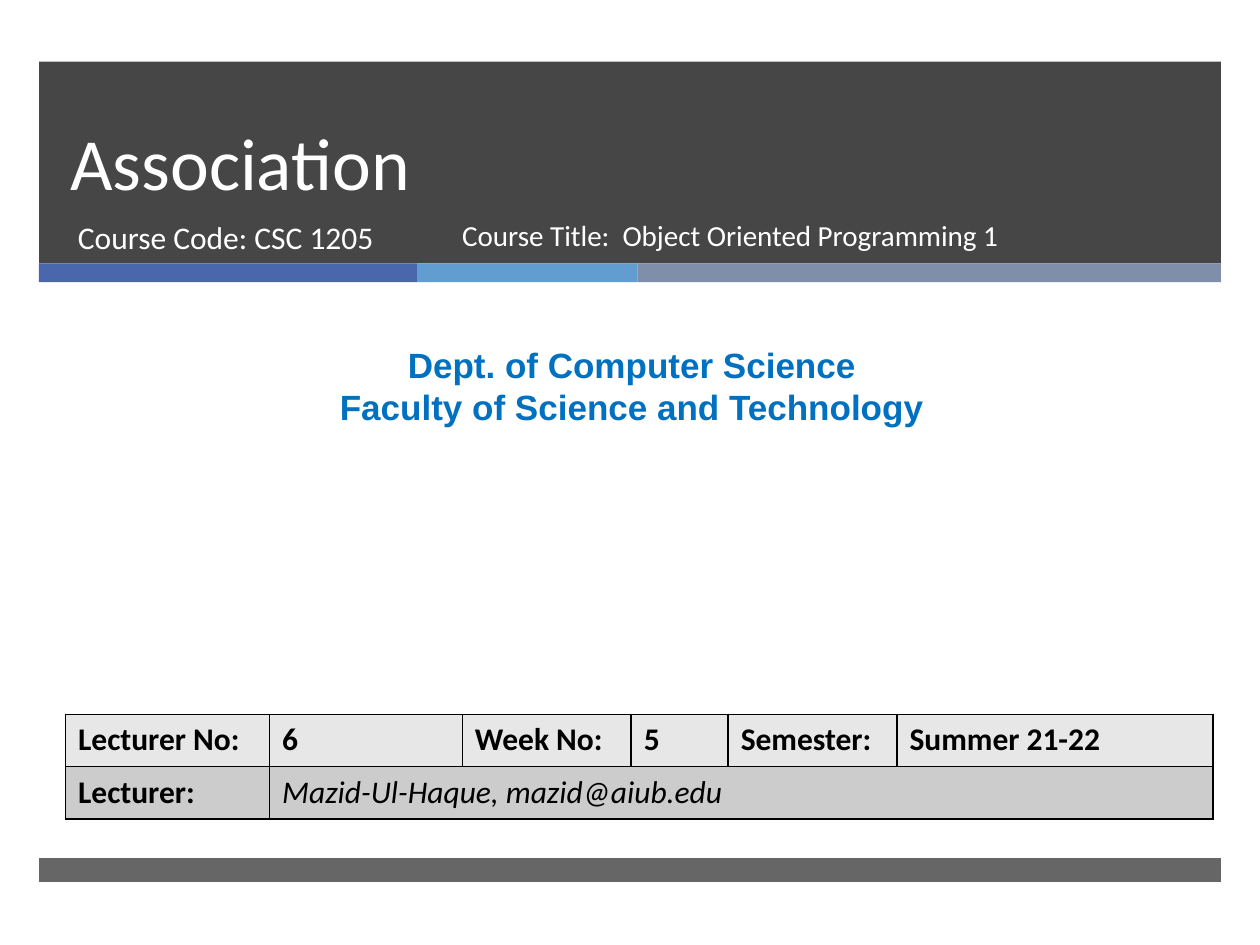
import pptx
import pptx.util
import pptx.dml.color
import pptx.enum.shapes
import pptx.enum.text
import pptx.oxml
import pptx.oxml.ns

Inches, Pt = pptx.util.Inches, pptx.util.Pt
ALIGN, ANCHOR = pptx.enum.text.PP_ALIGN, pptx.enum.text.MSO_ANCHOR
NS = pptx.oxml.ns.nsdecls("a")
LEFT, WIDTH = 0.31, 9.38
WHITE = {"name": "Calibri", "color": "FFFFFF"}
BOLD = {"name": "Calibri", "color": "000000", "size": Pt(18), "bold": True}
ITALIC = {**BOLD, "bold": False, "italic": True}


def rgb(value):
    """Turn a hex string into a colour."""
    return pptx.dml.color.RGBColor.from_string(value)


def format_font(font, fmt):
    """Apply a dict of format values to a font."""
    for key, value in fmt.items():
        if key == "color":
            font.color.rgb = rgb(value)
        else:
            setattr(font, key, value)


def add_bar(s, box, color, alpha=100):
    """Add a plain filled rectangle, optionally translucent."""
    sp = s.shapes.add_shape(pptx.enum.shapes.MSO_SHAPE.RECTANGLE, *map(Inches, box))
    sp.shadow.inherit = False
    sp.line.fill.background()
    sp.fill.solid()
    sp.fill.fore_color.rgb = rgb(color)
    if alpha < 100:
        clr = sp.fill._xPr.find(".//" + pptx.oxml.ns.qn("a:srgbClr"))
        clr.append(pptx.oxml.parse_xml(f'<a:alpha {NS} val="{alpha * 1000}"/>'))


def add_text(s, box, lines, fmt, spacing=None, align=ALIGN.LEFT, anchor=ANCHOR.TOP):
    """Add a wrapped text box with one paragraph per line."""
    tf = s.shapes.add_textbox(*map(Inches, box)).text_frame
    tf.word_wrap = True
    tf.vertical_anchor = anchor
    for i, line in enumerate(lines):
        p = tf.add_paragraph() if i else tf.paragraphs[0]
        p.alignment = align
        if spacing:
            p.line_spacing = Pt(spacing)
        r = p.add_run()
        r.text = line
        format_font(r.font, fmt)


def format_cell(cell, fill):
    """Fill a cell and give it thin black borders."""
    cell.fill.solid()
    cell.fill.fore_color.rgb = rgb(fill)
    tc_pr = cell._tc.get_or_add_tcPr()
    for i, side in enumerate(("lnL", "lnR", "lnT", "lnB")):
        tc_pr.insert(i, pptx.oxml.parse_xml(
            f'<a:{side} {NS} w="12700"><a:solidFill><a:srgbClr val="000000"/>'
            f'</a:solidFill></a:{side}>'))


def add_info_table(s, box, widths, rows, fills):
    """Add the lecture table, its last row spanning all value columns."""
    table = s.shapes.add_table(len(rows), len(widths), *map(Inches, box)).table
    for col, width in zip(table.columns, widths):
        col.width = Inches(width)
    for r, fill in enumerate(fills):
        for c in range(len(widths)):
            format_cell(table.cell(r, c), fill)
    table.cell(1, 1).merge(table.cell(1, len(widths) - 1))
    for r, row in enumerate(rows):
        for c, (text, fmt) in enumerate(row):
            run = table.cell(r, c).text_frame.paragraphs[0].add_run()
            run.text = text
            format_font(run.font, fmt)


def main():
    """Build the title slide of the lecture."""
    prs = pptx.Presentation()
    prs.slide_width, prs.slide_height = Inches(10), Inches(7.5)
    s = prs.slides.add_slide(prs.slide_layouts[6])

    add_bar(s, (LEFT, 0.49, WIDTH, 1.6), "262626", 85)
    x = LEFT
    for width, color in ((3, "4A66AC"), (1.75, "629DD1"), (4.63, "7F8FA9")):
        add_bar(s, (x, 2.09, width, 0.15), color)
        x += width
    add_bar(s, (LEFT, 6.81, WIDTH, 0.19), "262626", 70)

    add_text(s, (0.46, 0.49, 8.54, 1.19), ["Association"],
             {**WHITE, "size": Pt(42)}, 46, anchor=ANCHOR.BOTTOM)
    add_text(s, (0.52, 1.68, 3.05, 0.53), ["Course Code: CSC 1205"],
             {**WHITE, "size": Pt(18)})
    add_text(s, (3.57, 1.68, 4.61, 0.53),
             ["Course Title:  Object Oriented Programming 1"],
             {**WHITE, "size": Pt(16.6)})
    add_text(s, (0.08, 2.68, 9.87, 0.77),
             ["Dept. of Computer Science", "Faculty of Science and Technology"],
             {"name": "Arial", "color": "0070C0", "size": Pt(20), "bold": True},
             24, ALIGN.CENTER)

    heads = ("Lecturer No:", "6", "Week No:", "5", "Semester:", "Summer 21-22")
    rows = [[(text, BOLD) for text in heads],
            [("Lecturer:", BOLD), ("Mazid-Ul-Haque, mazid@aiub.edu", ITALIC)]]
    add_info_table(s, (0.52, 5.67, 9.12, 0.83),
                   (1.62, 1.53, 1.34, 0.77, 1.34, 2.51), rows, ("E7E7E7", "CCCCCC"))
    prs.save("out.pptx")


if __name__ == "__main__":
    main()
